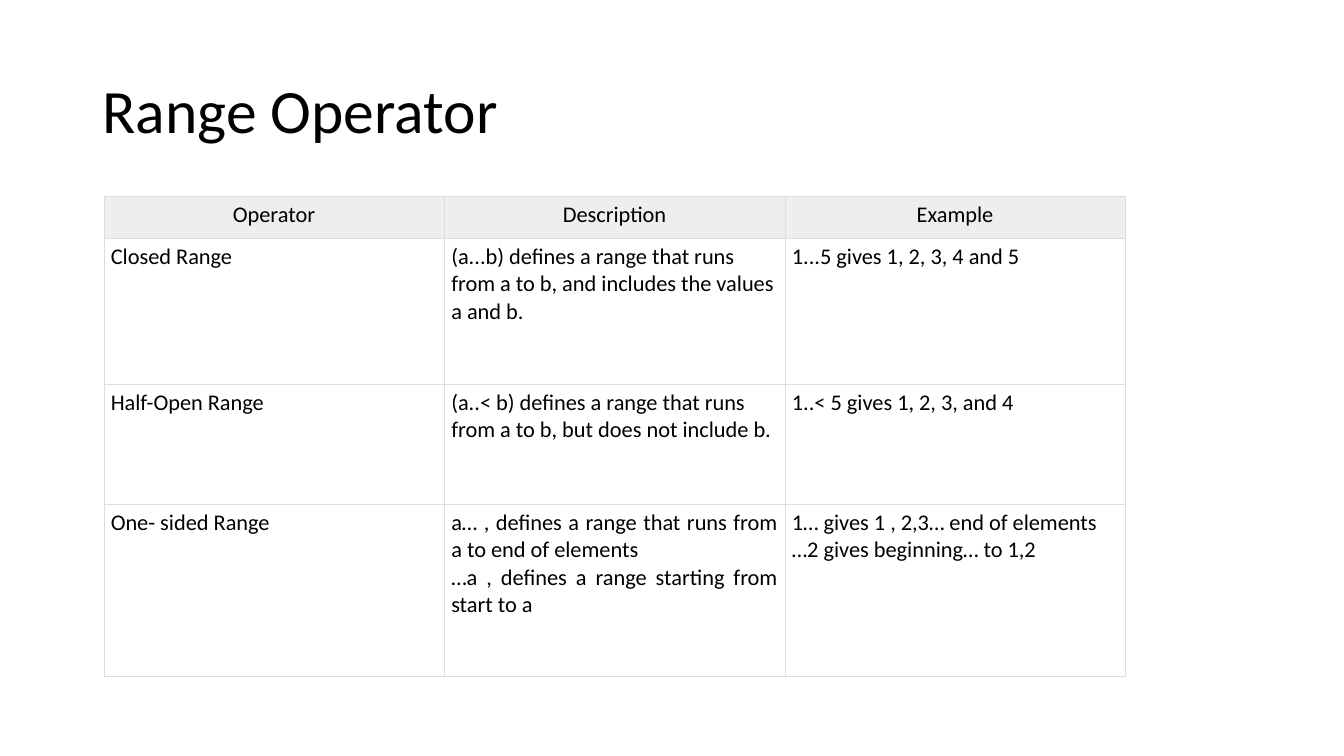
"""Build a slide with a table that explains the range operators."""
from dataclasses import dataclass

from lxml.etree import SubElement
from pptx import Presentation
from pptx.dml.color import RGBColor
from pptx.enum.text import MSO_ANCHOR as Anchor, PP_ALIGN as Align
from pptx.oxml.ns import qn
from pptx.slide import Slide
from pptx.table import _Cell as Cell
from pptx.text.text import TextFrame
from pptx.util import Inches, Pt

FONT = "Calibri"
BLACK = "000000"
HEADER_FILL = "EEEEEE"
BORDER = "DDDDDD"
BORDER_WIDTH = Pt(0.34)
COLUMN_WIDTH = 3.38


@dataclass(frozen=True)
class Entry:
    """Text of one cell, with one alignment for all its lines."""
    text: str
    align: Align = Align.LEFT


@dataclass(frozen=True)
class Row:
    """One table row: its height in inches, its cells and its fill."""
    height: float
    entries: tuple[Entry, ...]
    fill: str | None = None


ROWS = (
    Row(0.41, tuple(Entry(name, Align.CENTER)
                    for name in ("Operator", "Description", "Example")), HEADER_FILL),
    Row(1.45, (
        Entry("Closed Range"),
        Entry("(a...b) defines a range that runs from a to b, and includes the values a and b."),
        Entry("1...5 gives 1, 2, 3, 4 and 5"),
    )),
    Row(1.19, (
        Entry("Half-Open Range"),
        Entry("(a..< b) defines a range that runs from a to b, but does not include b."),
        Entry("1..< 5 gives 1, 2, 3, and 4"),
    )),
    Row(1.71, (
        Entry("One- sided Range"),
        Entry("a… , defines a range that runs from a to end of elements\n"
              "…a , defines a range starting from start to a", Align.JUSTIFY),
        Entry("1… gives 1 , 2,3… end of elements\n"
              "…2 gives beginning… to 1,2", Align.JUSTIFY),
    )),
)


def color(value: str) -> RGBColor:
    """Turn a hex string into a colour."""
    return RGBColor.from_string(value)


def write(frame: TextFrame, entry: Entry, size: float) -> None:
    """Fill a text frame, one paragraph per line."""
    frame.text = entry.text
    for para in frame.paragraphs:
        para.alignment = entry.align
        para.font.name = FONT
        para.font.size = Pt(size)
        para.font.color.rgb = color(BLACK)


def add_borders(cell: Cell) -> None:
    """Draw a thin line on all four sides of a cell."""
    properties = cell._tc.get_or_add_tcPr()
    for side in ("lnL", "lnR", "lnT", "lnB"):
        line = SubElement(properties, qn(f"a:{side}"), w=str(int(BORDER_WIDTH)))
        fill = SubElement(line, qn("a:solidFill"))
        SubElement(fill, qn("a:srgbClr"), val=BORDER)


def add_title(page: Slide, text: str) -> None:
    """Add the slide title."""
    box = page.shapes.add_textbox(Inches(0.92), Inches(0.4), Inches(11.5), Inches(1.45))
    frame = box.text_frame
    frame.word_wrap = True
    frame.vertical_anchor = Anchor.MIDDLE
    write(frame, Entry(text), 44)
    frame.paragraphs[0].line_spacing = 0.9


def draw_cell(cell: Cell, entry: Entry, fill: str | None) -> None:
    """Write and style one table cell."""
    cell.margin_left = cell.margin_right = Inches(0.07)
    cell.margin_top = cell.margin_bottom = Inches(0.05)
    write(cell.text_frame, entry, 16)
    add_borders(cell)
    if fill:
        cell.fill.solid()
        cell.fill.fore_color.rgb = color(fill)
    else:
        cell.fill.background()


def add_operator_table(page: Slide, rows: tuple[Row, ...]) -> None:
    """Add the table of operators."""
    count = len(rows[0].entries)
    table = page.shapes.add_table(
        len(rows), count, Inches(1.03), Inches(1.95),
        Inches(COLUMN_WIDTH * count), Inches(sum(row.height for row in rows))).table
    table.horz_banding = table.first_row = False
    for column in table.columns:
        column.width = Inches(COLUMN_WIDTH)
    for index, row in enumerate(rows):
        table.rows[index].height = Inches(row.height)
        for position, entry in enumerate(row.entries):
            draw_cell(table.cell(index, position), entry, row.fill)


def main() -> None:
    """Build and save the deck."""
    deck = Presentation()
    deck.slide_width, deck.slide_height = Inches(13.34), Inches(7.5)
    page = deck.slides.add_slide(deck.slide_layouts[6])
    add_title(page, "Range Operator")
    add_operator_table(page, ROWS)
    deck.save("out.pptx")


if __name__ == "__main__":
    main()
